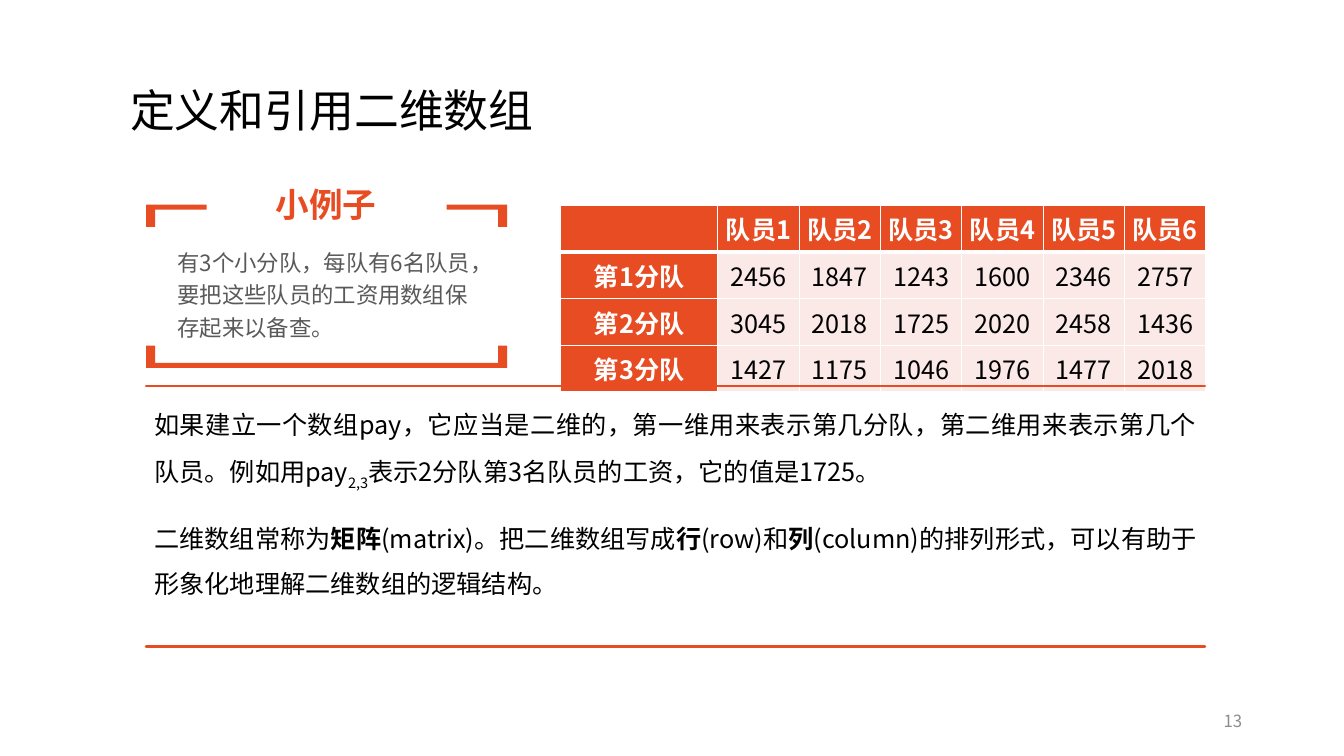
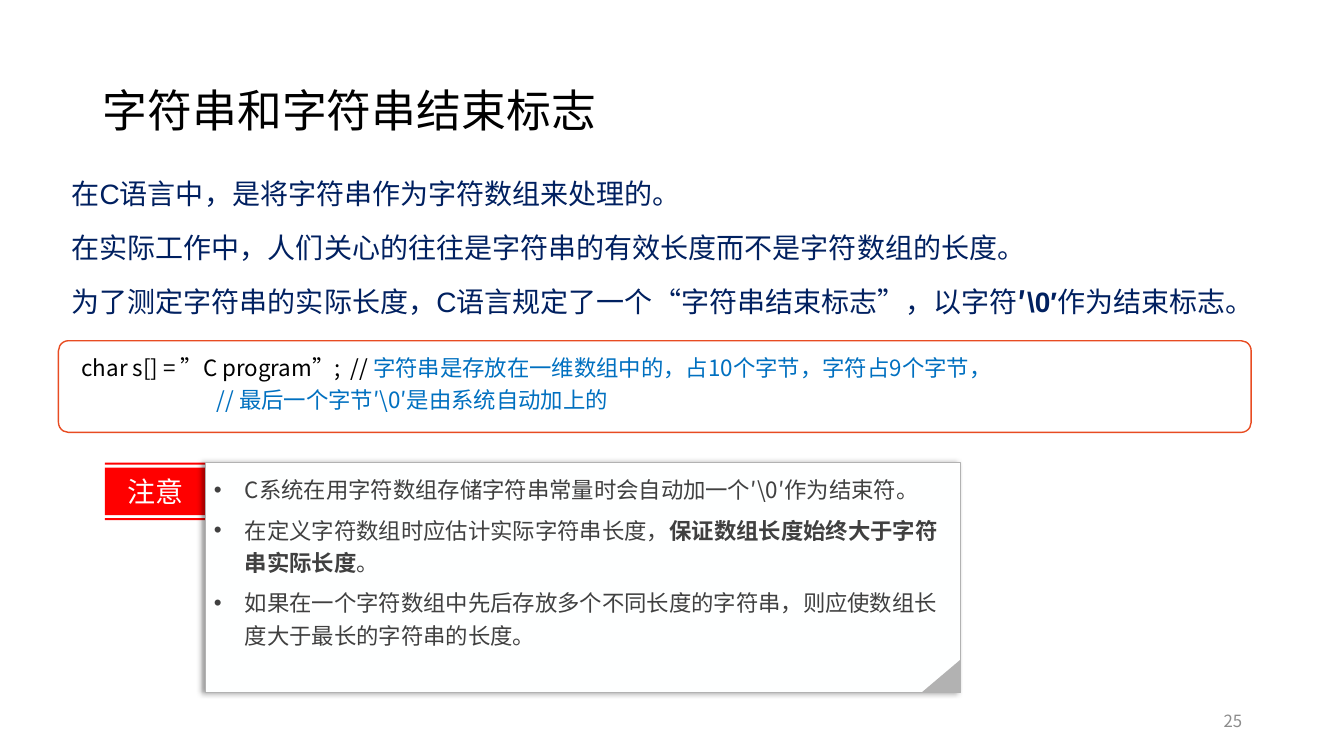
from lxml import etree
from pptx import Presentation
from pptx import util as u
from pptx.dml.color import RGBColor
from pptx.enum import shapes, text
from pptx.oxml.ns import qn

COLORS = {
    "orange": "E84C22", "blush": "FBE9E8", "white": "FFFFFF", "paper": "FEFFFF",
    "black": "000000", "slate": "595959", "charcoal": "404040", "gray": "8C8C8C",
    "silver": "B2B2B2", "navy": "002060", "blue": "0070C0", "red": "FF0000",
}
RGB = {name: RGBColor.from_string(value) for name, value in COLORS.items()}
FONT = "Noto Sans CJK SC"
CELL = u.Inches(0.1)  # the grid: 133.33 columns by 75 rows
LEFT, CENTER = text.PP_ALIGN.LEFT, text.PP_ALIGN.CENTER
RIGHT, JUSTIFY = text.PP_ALIGN.RIGHT, text.PP_ALIGN.JUSTIFY
TOP, MIDDLE = text.MSO_ANCHOR.TOP, text.MSO_ANCHOR.MIDDLE


def write(frame, lines, size, color, align=LEFT, anchor=TOP, insets=(1, 0.5, 1, 0.5),
          leading=1.0, before=0, after=0, hanging=None, latin=FONT):
    """Fill a frame; text between bars is bold."""
    frame.word_wrap = True
    frame.auto_size = text.MSO_AUTO_SIZE.NONE
    frame.vertical_anchor = anchor
    (frame.margin_left, frame.margin_top,
     frame.margin_right, frame.margin_bottom) = [int(CELL * inset) for inset in insets]
    frame.text = "\n".join(lines)
    for para, line in zip(frame.paragraphs, lines):
        para.text = ""
        para.alignment, para.line_spacing = align, leading
        para.space_before, para.space_after = u.Pt(before), u.Pt(after)
        props = para._p.get_or_add_pPr()
        margin = int(CELL * (hanging or 0))
        props.set("marL", str(margin))
        props.set("indent", str(-margin))
        if hanging:
            etree.SubElement(props, qn("a:buFont"), typeface="Arial")
            etree.SubElement(props, qn("a:buChar"), char="•")
        else:
            etree.SubElement(props, qn("a:buNone"))
        for index, piece in enumerate(line.split("|")):
            if not piece:
                continue
            span = para.add_run()
            span.text = piece
            span.font.size, span.font.name = u.Pt(size), latin
            span.font.bold = index % 2 == 1
            span.font.color.rgb = RGB[color]
            etree.SubElement(span._r.get_or_add_rPr(), qn("a:ea"), typeface=FONT)


def outline(canvas, contours):
    """Build one shape from closed contours given in grid cells."""
    scaled = [[(int(x * CELL), int(y * CELL)) for x, y in points] for points in contours]
    builder = canvas.build_freeform(*scaled[0][0])
    for points in scaled:
        builder.move_to(*points[0])
        builder.add_line_segments(points[1:], close=True)
    shape = builder.convert_to_shape()
    shape.shadow.inherit = False
    return shape


deck = Presentation()
deck.slide_width, deck.slide_height = u.Inches(13.33), u.Inches(7.5)

# Titles and page numbers
pages = []
for layout, heading, left, width, number in [
        (5, "定义和引用二维数组", 11.9, 64.8, 13),
        (1, "字符串和字符串结束标志", 9.2, 115, 25)]:
    page = deck.slides.add_slide(deck.slide_layouts[layout])
    title = page.shapes.title
    title.left, title.top, title.width, title.height = [
        int(CELL * n) for n in (left, 4, width, 14.5)]
    write(title.text_frame, [heading], 32, "black", anchor=MIDDLE, leading=0.9)
    box = page.shapes.add_textbox(*[int(CELL * n) for n in (94.2, 69.5, 30, 4)])
    write(box.text_frame, [str(number)], 12, "gray", RIGHT, MIDDLE)
    pages.append(page)
array_page, string_page = pages

# Example frame: two top corners and a bottom bracket
left, right, top, bottom = 14.5, 50.3, 20.3, 36.5
leg, side, bar, arm = 2.2, 0.9, 0.5, 6
contours = [[(left, bottom - leg), (left + side, bottom - leg), (left + side, bottom - bar),
             (right - side, bottom - bar), (right - side, bottom - leg),
             (right, bottom - leg), (right, bottom), (left, bottom)]]
for edge, way in ((left, 1), (right, -1)):
    contours.append([(edge, top), (edge + way * arm, top), (edge + way * arm, top + bar),
                     (edge + way * side, top + bar), (edge + way * side, top + leg),
                     (edge, top + leg)])
example = outline(array_page.shapes, contours)
example.fill.solid()
example.fill.fore_color.rgb = RGB["orange"]
example.line.fill.background()
write(example.text_frame, ["有3个小分队，每队有6名队员，要把这些队员的工资用数组保存起来以备查。"],
      16, "slate", insets=(3.1, 3.9, 3.1, 3.9), leading=1.2)
caption = array_page.shapes.add_textbox(*[int(CELL * n) for n in (24.5, 17.4, 15.7, 5.7)])
write(caption.text_frame, ["|小例子"], 24, "orange", CENTER, MIDDLE, insets=(0, 0, 0, 0))

# Pay table
pay = [[2456, 1847, 1243, 1600, 2346, 2757],
       [3045, 2018, 1725, 2020, 2458, 1436],
       [1427, 1175, 1046, 1976, 1477, 2018]]
rows = [[""] + [f"|队员{n}" for n in range(1, 7)]]
rows += [[f"|第{n}分队"] + [str(value) for value in team] for n, team in enumerate(pay, 1)]
table = array_page.shapes.add_table(
    4, 7, *[int(CELL * n) for n in (55.6, 20.4, 64, 16.2)]).table
for index, column in enumerate(table.columns):
    column.width = int(CELL * (8.07 if index else 15.6))
for index, row in enumerate(table.rows):
    row.height = int(CELL * (4.1 if index else 3.9))
for r, values in enumerate(rows):
    for c, value in enumerate(values):
        cell = table.cell(r, c)
        header = r == 0 or c == 0
        cell.margin_left = cell.margin_right = int(CELL * 0.4)
        cell.margin_top = cell.margin_bottom = int(CELL * 0.5)
        write(cell.text_frame, [value], 18, "white" if header else "black", CENTER)
        cell.fill.solid()
        cell.fill.fore_color.rgb = RGB["orange" if header else "blush"]
        props = cell._tc.get_or_add_tcPr()
        for index, border in enumerate(("lnL", "lnR", "lnT", "lnB")):
            thick = (r, border) in ((0, "lnB"), (1, "lnT"))
            line = etree.Element(qn(f"a:{border}"), w=str(u.Pt(3 if thick else 1)))
            fill = etree.SubElement(line, qn("a:solidFill"))
            etree.SubElement(fill, qn("a:srgbClr"), val=COLORS["white"])
            props.insert(index, line)

# Explanation between two rules
rules = outline(array_page.shapes, [[(14.5, y), (119.5, y)] for y in (64.1, 38.3)])
rules.fill.background()
rules.line.color.rgb, rules.line.width = RGB["orange"], u.Pt(2)
write(rules.text_frame, [
    "如果建立一个数组pay，它应当是二维的，第一维用来表示第几分队，第二维用来表示第几个队员。"
    "例如用pay|2,3|表示2分队第3名队员的工资，它的值是1725。",
    "二维数组常称为|矩阵|(matrix)。把二维数组写成|行|(row)和|列|(column)的排列形式，"
    "可以有助于形象化地理解二维数组的逻辑结构。",
], 18, "black", JUSTIFY, insets=(0.8, 0.8, 0.8, 0.8), leading=1.5, before=6, after=6)
subscript = rules.text_frame.paragraphs[0].runs[1]
subscript.font.bold = False
subscript._r.get_or_add_rPr().set("baseline", "-25000")

# String introduction
body = string_page.placeholders[1]
body.left, body.top, body.width, body.height = [
    int(CELL * n) for n in (6.1, 16.3, 123.3, 14.5)]
write(body.text_frame, [
    "在C语言中，是将字符串作为字符数组来处理的。",
    "在实际工作中，人们关心的往往是字符串的有效长度而不是字符数组的长度。",
    "为了测定字符串的实际长度，C语言规定了一个“字符串结束标志”，以字符|′\\0′|作为结束标志。",
], 20, "navy", leading=1.2, before=10, latin="Arial")

# Note: label, sheet and folded corner
note = string_page.shapes.add_group_shape().shapes
label = outline(note, [[(10.4, y), (20.4, y), (20.4, y + height), (10.4, y + height)]
                       for y, height in ((51.4, 0.2), (46.4, 4.7), (45.9, 0.2))])
sheet = note.add_shape(shapes.MSO_SHAPE.RECTANGLE,
                       *[int(CELL * n) for n in (20.4, 45.9, 74.9, 22.8)])
corner = note.add_shape(shapes.MSO_SHAPE.RIGHT_TRIANGLE,
                        *[int(CELL * n) for n in (91.7, 65.1, 3.3, 3.9)])
corner.rotation = 270
for shape, color in ((label, "red"), (sheet, "paper"), (corner, "silver")):
    shape.fill.solid()
    shape.fill.fore_color.rgb = RGB[color]
    shape.line.fill.background()
    shape.shadow.inherit = False
sheet.line.color.rgb, sheet.line.width = RGB["silver"], u.Pt(0.75)
shadow = etree.SubElement(
    sheet._element.spPr.find(qn("a:effectLst")), qn("a:outerShdw"),
    blurRad=str(u.Pt(4)), dist=str(u.Pt(3)), dir=str(180 * 60000), rotWithShape="0")
tint = etree.SubElement(shadow, qn("a:srgbClr"), val=COLORS["black"])
etree.SubElement(tint, qn("a:alpha"), val="40000")
write(label.text_frame, ["注意"], 20, "paper", CENTER, MIDDLE)
write(sheet.text_frame, [
    "C系统在用字符数组存储字符串常量时会自动加一个′\\0′作为结束符。",
    "在定义字符数组时应估计实际字符串长度，|保证数组长度始终大于字符串实际长度|。",
    "如果在一个字符数组中先后存放多个不同长度的字符串，则应使数组长度大于最长的字符串的长度。",
], 16, "charcoal", insets=(0.8, 0.8, 0.8, 0.8), leading=1.2, after=6, hanging=3.1)

# Code box
code = string_page.shapes.add_shape(shapes.MSO_SHAPE.ROUNDED_RECTANGLE,
                                    *[int(CELL * n) for n in (5.8, 33.8, 118.3, 9.1)])
code.adjustments[0] = 0.11
code.fill.solid()
code.fill.fore_color.rgb = RGB["white"]
code.line.color.rgb, code.line.width = RGB["orange"], u.Pt(1)
code.shadow.inherit = False
write(code.text_frame, [
    "char s[] = ”C program”;  // |字符串是存放在一维数组中的，占10个字节，字符占9个字节，",
    "// 最后一个字节′\\0′是由系统自动加上的",
], 16, "black", insets=(2, 0.5, 1, 0.5), leading=1.2)
first, second = code.text_frame.paragraphs
for comment in (first.runs[1], second.runs[0]):
    comment.font.bold = False
    comment.font.color.rgb = RGB["blue"]
second._p.get_or_add_pPr().set("marL", str(int(CELL * 13.4)))

deck.save("out.pptx")
